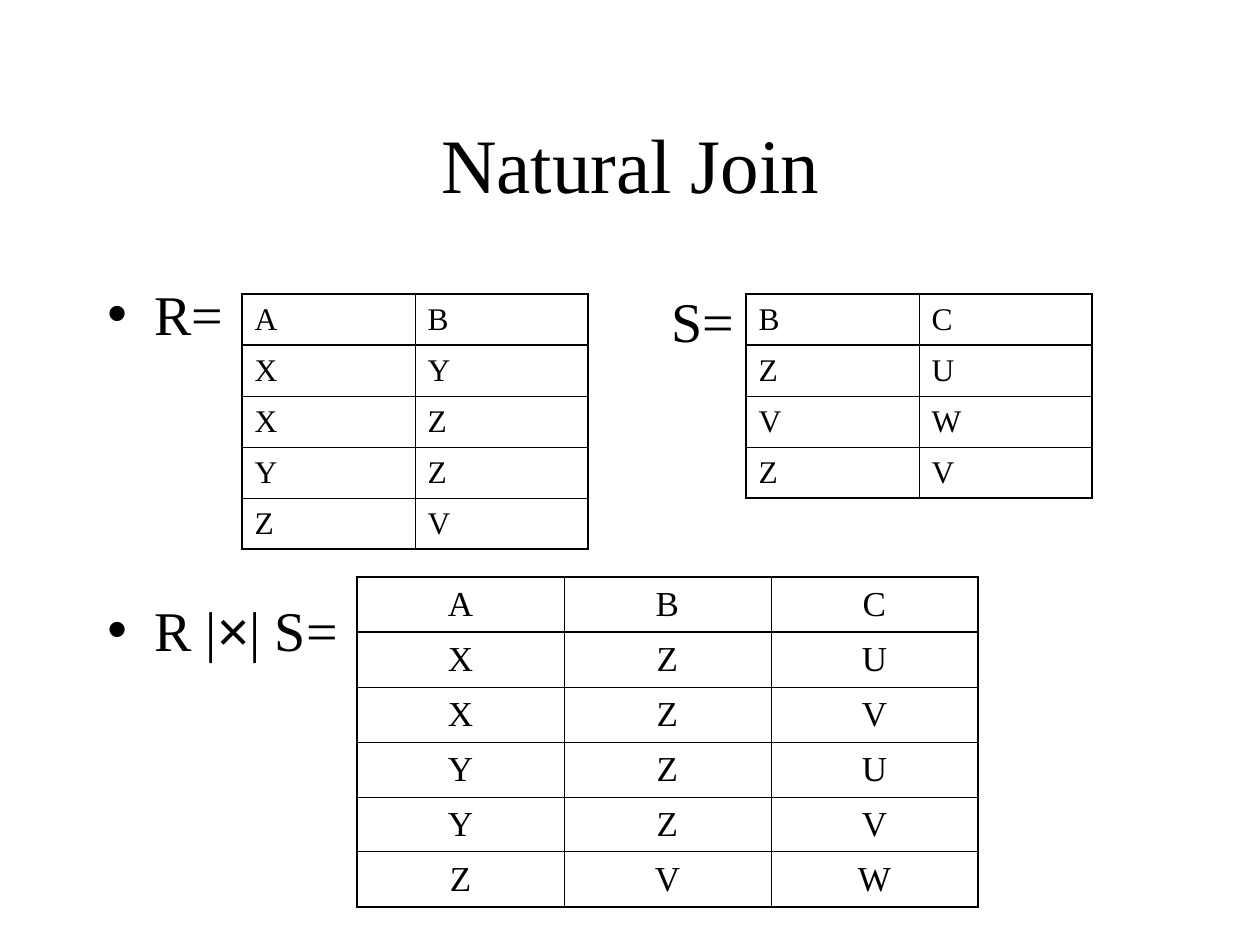
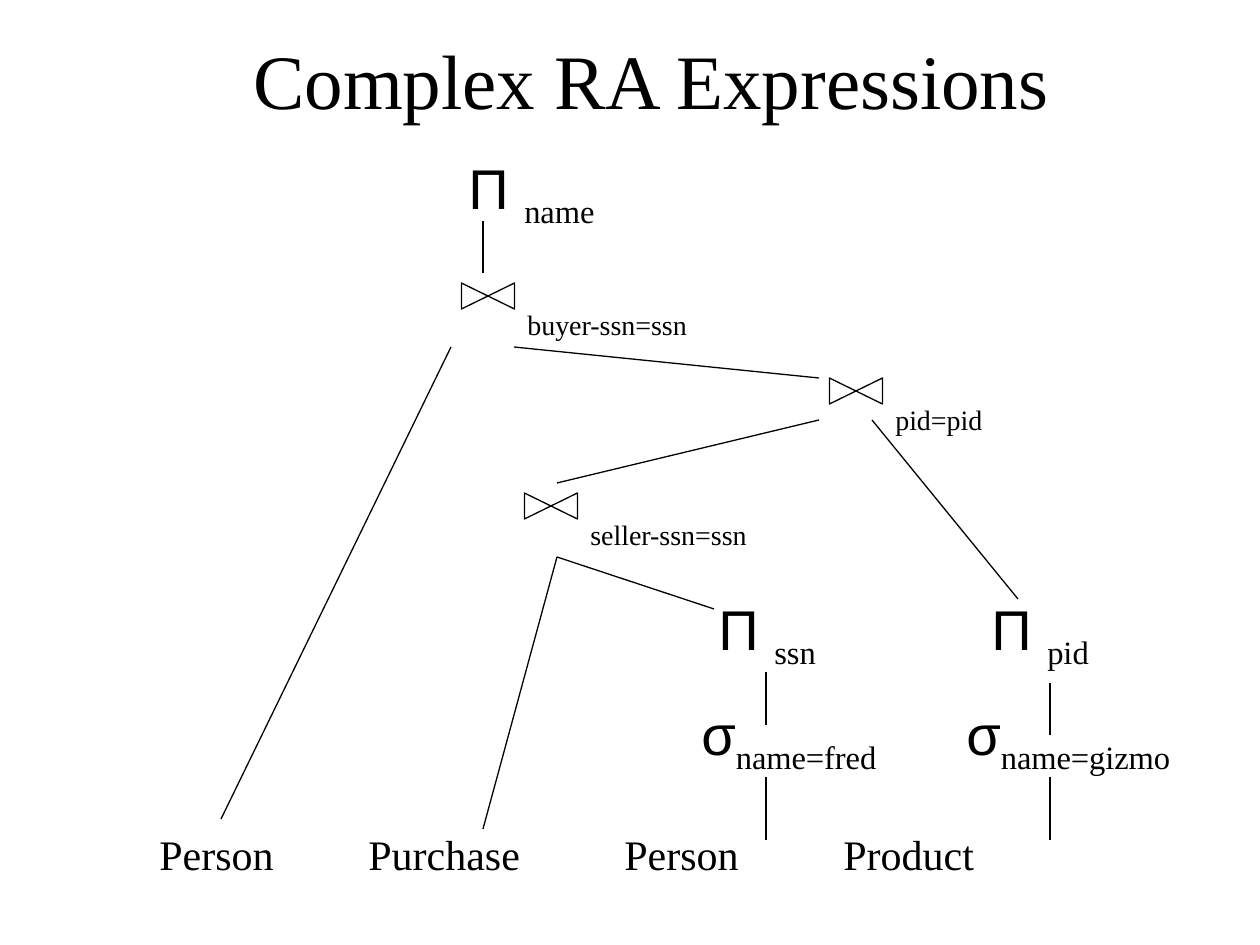
from lxml import etree
from pptx import Presentation
from pptx.dml.color import RGBColor
from pptx.enum.shapes import MSO_CONNECTOR, MSO_SHAPE
from pptx.enum.text import MSO_ANCHOR, PP_ALIGN
from pptx.oxml.ns import qn
from pptx.util import Emu, Pt

PX_PER_INCH = 126
BLACK = "000000"
SERIF = "Times New Roman"
SANS = "Arial"
THIN, THICK = 0.45, 1.08
CENTER, LEFT = PP_ALIGN.CENTER, PP_ALIGN.LEFT
MIDDLE, TOP = MSO_ANCHOR.MIDDLE, MSO_ANCHOR.TOP
STRAIGHT = MSO_CONNECTOR.STRAIGHT
COLLATE = MSO_SHAPE.FLOWCHART_COLLATE


def px(n):
    return Emu(round(n * 914400 / PX_PER_INCH))


def color(value):
    return RGBColor.from_string(value)


def style(font, size, name=SERIF):
    font.size = Pt(size)
    font.name = name
    font.color.rgb = color(BLACK)


def add_runs(p, parts, size):
    for text, name in parts:
        r = p.add_run()
        r.text = text
        style(r.font, size, name)


def add_text(s, x, y, w, h, parts, size, align=LEFT, anchor=TOP):
    tf = s.shapes.add_textbox(px(x), px(y), px(w), px(h)).text_frame
    tf.word_wrap = True
    tf.vertical_anchor = anchor
    p = tf.paragraphs[0]
    p.alignment = align
    add_runs(p, parts, size)
    return tf


def add_title(s, x, y, text):
    add_text(s, x, y, 1071, 158, [(text, SERIF)], 44, CENTER, MIDDLE)


def add_bullet(p):
    pPr = p._p.get_or_add_pPr()
    pPr.set("marL", str(px(47)))
    pPr.set("indent", str(-px(47)))
    etree.SubElement(pPr, qn("a:buFont")).set("typeface", SANS)
    etree.SubElement(pPr, qn("a:buChar")).set("char", "•")


def add_border(tcPr, side, width):
    ln = etree.SubElement(tcPr, qn("a:ln" + side), w=str(Pt(width)))
    fill = etree.SubElement(ln, qn("a:solidFill"))
    etree.SubElement(fill, qn("a:srgbClr"), val=BLACK)


def add_relation(s, x, y, col_w, row_h, rows, size, align=LEFT):
    n_rows, n_cols = len(rows), len(rows[0])
    table = s.shapes.add_table(n_rows, n_cols, px(x), px(y),
                               px(col_w * n_cols), px(row_h * n_rows)).table
    table.first_row = table.horz_banding = False
    for col in table.columns:
        col.width = px(col_w)
    for i, values in enumerate(rows):
        table.rows[i].height = px(row_h)
        for j, value in enumerate(values):
            cell = table.cell(i, j)
            cell.text = value
            cell.vertical_anchor = MIDDLE
            p = cell.text_frame.paragraphs[0]
            p.alignment = align
            style(p.runs[0].font, size)
            thick = {"L": j == 0, "R": j == n_cols - 1,
                     "T": i <= 1, "B": i in (0, n_rows - 1)}
            tcPr = cell._tc.get_or_add_tcPr()
            for side, is_thick in thick.items():
                add_border(tcPr, side, THICK if is_thick else THIN)
            cell.fill.background()


def add_operator(s, x, y, symbol, subscript):
    tf = add_text(s, x, y, 265, 89, [(symbol, SANS), (subscript, SERIF)], 32)
    tf.paragraphs[0].runs[1]._r.get_or_add_rPr().set("baseline", "-25000")


def add_join(s, cx, cy, condition):
    w, h = 26, 53
    sp = s.shapes.add_shape(COLLATE, px(cx - w / 2), px(cy - h / 2), px(w), px(h))
    sp.rotation = 270
    sp.shadow.inherit = False
    sp.fill.background()
    sp.line.color.rgb = color(BLACK)
    sp.line.width = Pt(0.75)
    add_text(s, cx + 27, cy + 5, 200, 46, [(condition, SERIF)], 16)


def add_edge(s, x1, y1, x2, y2):
    line = s.shapes.add_connector(STRAIGHT, px(x1), px(y1), px(x2), px(y2))
    line.line.color.rgb = color(BLACK)
    line.line.width = Pt(0.75)
    etree.SubElement(line._element.spPr, qn("a:effectLst"))


def build_natural_join(s):
    add_title(s, 95, 84, "Natural Join")
    tf = add_text(s, 95, 273, 1071, 567, [("R=", SERIF)], 32)
    add_bullet(tf.paragraphs[0])
    p = tf.add_paragraph()
    add_bullet(p)
    p.space_before = Pt(142.4)
    add_runs(p, [("R |", SERIF), ("×", SANS), ("| S=", SERIF)], 32)
    add_text(s, 659, 280, 90, 80, [("S=", SERIF)], 32)
    add_relation(s, 242, 294, 173, 51, ["AB", "XY", "XZ", "YZ", "ZV"], 18)
    add_relation(s, 746, 294, 173, 51, ["BC", "ZU", "VW", "ZV"], 18)
    add_relation(s, 357, 577, 207, 55,
                 ["ABC", "XZU", "XZV", "YZU", "YZV", "ZVW"], 20, CENTER)


def build_expression_tree(s):
    add_title(s, 116, 0, "Complex RA Expressions")
    for x, name in [(147, "Person"), (356, "Purchase"),
                    (612, "Person"), (831, "Product")]:
        add_text(s, x, 822, 200, 62, [(name, SERIF)], 24)
    for x, y, symbol, subscript in [
            (689, 693, "σ", "name=fred"), (954, 693, "σ", "name=gizmo"),
            (979, 588, "Π ", "pid"), (706, 588, "Π ", "ssn"),
            (456, 147, "Π ", "name")]:
        add_operator(s, x, y, symbol, subscript)
    for cx, cy, condition in [(551, 506, "seller-ssn=ssn"),
                              (856, 391, "pid=pid"),
                              (488, 296, "buyer-ssn=ssn")]:
        add_join(s, cx, cy, condition)
    for edge in [(766, 840, 766, 777), (1050, 840, 1050, 777),
                 (766, 725, 766, 672), (1050, 735, 1050, 683),
                 (483, 829, 557, 557), (714, 609, 557, 557),
                 (557, 483, 819, 420), (1018, 599, 872, 420),
                 (819, 378, 514, 347), (221, 819, 451, 347),
                 (483, 273, 483, 221)]:
        add_edge(s, *edge)


def main():
    prs = Presentation()
    prs.slide_width, prs.slide_height = px(1260), px(945)
    for build in (build_natural_join, build_expression_tree):
        build(prs.slides.add_slide(prs.slide_layouts[6]))
    prs.save("out.pptx")


if __name__ == "__main__":
    main()
